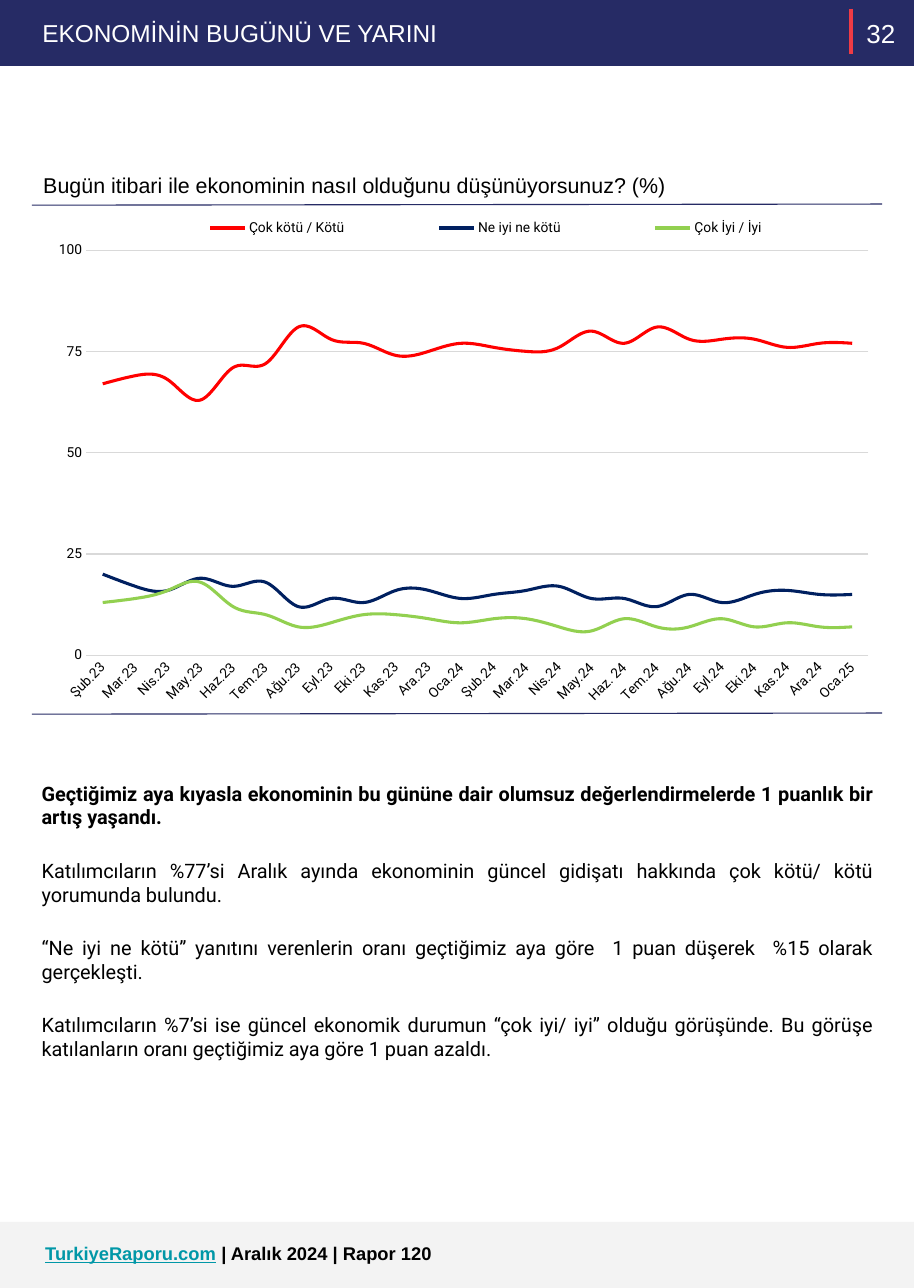
import pptx
import pptx.util
import pptx.chart.data
import pptx.dml.color
import pptx.enum.chart
import pptx.enum.shapes
import pptx.enum.text
import pptx.oxml
import pptx.oxml.ns

Pt = pptx.util.Pt
ALIGN = pptx.enum.text.PP_ALIGN
ANCHOR = pptx.enum.text.MSO_ANCHOR

COLORS = {
    "navy": "262B65", "accent": "EF3B45", "footer": "F3F3F3", "link": "0097A7",
    "white": "FFFFFF", "black": "000000", "grid": "D9D9D9",
    "bad": "FF0000", "neutral": "002060", "good": "92D050",
}

MONTHS = [
    "Şub.23", "Mar.23", "Nis.23", "May.23", "Haz.23", "Tem.23", "Ağu.23", "Eyl.23",
    "Eki.23", "Kas.23", "Ara.23", "Oca.24", "Şub.24", "Mar.24", "Nis.24", "May.24",
    "Haz. 24", "Tem.24", "Ağu.24", "Eyl.24", "Eki.24", "Kas.24", "Ara.24", "Oca.25",
]

SERIES = [
    ("Çok kötü / Kötü", "bad", [67, 69, 68, 63, 71, 72, 81, 78, 77, 74, 75, 77,
                                76, 75, 76, 80, 77, 81, 78, 78, 78, 76, 77, 77]),
    ("Ne iyi ne kötü", "neutral", [20, 17, 16, 19, 17, 18, 12, 14, 13, 16, 16, 14,
                                   15, 16, 17, 14, 14, 12, 15, 13, 15, 16, 15, 15]),
    ("Çok İyi / İyi", "good", [13, 14, 16, 18, 12, 10, 7, 8, 10, 10, 9, 8,
                               9, 9, 7, 6, 9, 7, 7, 9, 7, 8, 7, 7]),
]

FINDINGS = [
    "Geçtiğimiz aya kıyasla ekonominin bu gününe dair olumsuz değerlendirmelerde 1 puanlık bir artış yaşandı.",
    "Katılımcıların %77’si Aralık ayında ekonominin güncel gidişatı hakkında çok kötü/ kötü yorumunda bulundu.",
    "“Ne iyi ne kötü” yanıtını verenlerin oranı geçtiğimiz aya göre  1 puan düşerek  %15 olarak gerçekleşti.",
    "Katılımcıların %7’si ise güncel ekonomik durumun “çok iyi/ iyi” olduğu görüşünde. "
    "Bu görüşe katılanların oranı geçtiğimiz aya göre 1 puan azaldı.",
]


def rgb(name):
    return pptx.dml.color.RGBColor.from_string(COLORS[name])


def style_font(font, size, color="black", name="Arial", bold=False):
    font.size = Pt(size)
    font.name = name
    font.bold = bold
    font.color.rgb = rgb(color)


def add_band(s, top, height, color):
    sp = s.shapes.add_shape(pptx.enum.shapes.MSO_SHAPE.RECTANGLE,
                            0, Pt(top), Pt(597.6), Pt(height))
    sp.shadow.inherit = False
    sp.fill.solid()
    sp.fill.fore_color.rgb = rgb(color)
    sp.line.fill.background()


def add_line(s, x1, y1, x2, y2, color, width):
    cx = s.shapes.add_connector(pptx.enum.shapes.MSO_CONNECTOR.STRAIGHT,
                                Pt(x1), Pt(y1), Pt(x2), Pt(y2))
    cx.line.color.rgb = rgb(color)
    cx.line.width = Pt(width)
    cx._element.spPr.append(pptx.oxml.parse_xml(
        f'<a:effectLst {pptx.oxml.ns.nsdecls("a")}/>'))


def add_box(s, left, top, width, height, anchor=ANCHOR.TOP):
    tf = s.shapes.add_textbox(Pt(left), Pt(top), Pt(width), Pt(height)).text_frame
    tf.word_wrap = True
    tf.vertical_anchor = anchor
    tf.margin_left = tf.margin_right = tf.margin_top = tf.margin_bottom = Pt(7.2)
    return tf


def add_label(s, box, text, size, color, align=ALIGN.LEFT, anchor=ANCHOR.TOP):
    p = add_box(s, *box, anchor).paragraphs[0]
    p.text = text
    p.alignment = align
    style_font(p.runs[0].font, size, color)
    return p


def add_findings(s):
    tf = add_box(s, 20.16, 503.7, 557.28, 253.44)
    tf.text = "\n".join(FINDINGS)
    for i, p in enumerate(tf.paragraphs):
        p.alignment = ALIGN.JUSTIFY
        if i:
            p.space_before = Pt(19.2)
        style_font(p.runs[0].font, 13, name="Roboto", bold=i == 0)


def layout_xml(x, y, w, h, target=""):
    return pptx.oxml.parse_xml(
        f'<c:layout {pptx.oxml.ns.nsdecls("c")}><c:manualLayout>{target}'
        '<c:xMode val="edge"/><c:yMode val="edge"/>'
        f'<c:x val="{x}"/><c:y val="{y}"/><c:w val="{w}"/><c:h val="{h}"/>'
        '</c:manualLayout></c:layout>')


def set_layout(element, layout, index):
    for old in element.findall(pptx.oxml.ns.qn("c:layout")):
        element.remove(old)
    element.insert(index, layout)


def add_trend_chart(s):
    data = pptx.chart.data.CategoryChartData()
    data.categories = MONTHS
    for name, _, values in SERIES:
        data.add_series(name, values)
    chart = s.shapes.add_chart(pptx.enum.chart.XL_CHART_TYPE.LINE, Pt(29.3), Pt(134.6),
                               Pt(544), Pt(363), data).chart
    chart.has_title = False
    style_font(chart.font, 9, name="Roboto")
    chart.plots[0].vary_by_categories = False
    for ser, (_, color, _) in zip(chart.plots[0].series, SERIES):
        ser.smooth = True
        ser.format.line.color.rgb = rgb(color)
        ser.format.line.width = Pt(2)
        ser.marker.style = pptx.enum.chart.XL_MARKER_STYLE.NONE

    months, percent = chart.category_axis, chart.value_axis
    for axis in (months, percent):
        axis.major_tick_mark = axis.minor_tick_mark = pptx.enum.chart.XL_TICK_MARK.NONE
        style_font(axis.tick_labels.font, 9, name="Roboto")
    percent.minimum_scale, percent.maximum_scale, percent.major_unit = 0, 100, 25
    percent.format.line.fill.background()
    for line in (months.format.line, percent.major_gridlines.format.line):
        line.color.rgb = rgb("grid")
        line.width = Pt(0.75)
    body = months._element.find(pptx.oxml.ns.qn("c:txPr")).find(pptx.oxml.ns.qn("a:bodyPr"))
    body.set("rot", "-2700000")
    body.set("vert", "horz")

    chart.has_legend = True
    chart.legend.position = pptx.enum.chart.XL_LEGEND_POSITION.BOTTOM
    chart.legend.include_in_layout = False
    style_font(chart.legend.font, 9, name="Roboto")
    set_layout(chart.legend._element, layout_xml(0.09, 0.01, 0.88, 0.06), 1)
    plot_area = chart._chartSpace.chart.plotArea
    set_layout(plot_area, layout_xml(0.05, 0.08, 0.94, 0.73,
                                     '<c:layoutTarget val="inner"/>'), 0)


def add_footer(s):
    add_band(s, 799.2, 43.2, "footer")
    p = add_label(s, (22.5, 805.2, 501.12, 28.8), "TurkiyeRaporu.com", 12, "link")
    p.runs[0].font.bold = True
    p.runs[0].font.underline = True
    r = p.add_run()
    r.text = " | Aralık 2024 | Rapor 120"
    style_font(r.font, 12, bold=True)


def add_header(s):
    add_band(s, 0, 43.2, "navy")
    add_line(s, 556.3, 5.6, 556.3, 35.2, "accent", 2.25)
    add_label(s, (20.6, 4.8, 464.4, 33.84), "EKONOMİNİN BUGÜNÜ VE YARINI", 16, "white")
    add_label(s, (556.56, -10.8, 38.88, 64.8), "32", 17, "white", ALIGN.CENTER, ANCHOR.MIDDLE)


def main():
    prs = pptx.Presentation()
    prs.slide_width, prs.slide_height = Pt(597.6), Pt(842.4)
    s = prs.slides.add_slide(prs.slide_layouts[6])
    add_header(s)
    question = add_label(s, (21.2, 102.96, 556.56, 31.68),
                         "Bugün itibari ile ekonominin nasıl olduğunu düşünüyorsunuz? (%)",
                         14, "black")
    question.line_spacing = 1.15
    add_trend_chart(s)
    for y in (134.2, 467.1):
        add_line(s, 20.88, y, 576.72, y - 0.72, "navy", 0.75)
    add_findings(s)
    add_footer(s)
    prs.save("out.pptx")


if __name__ == "__main__":
    main()
